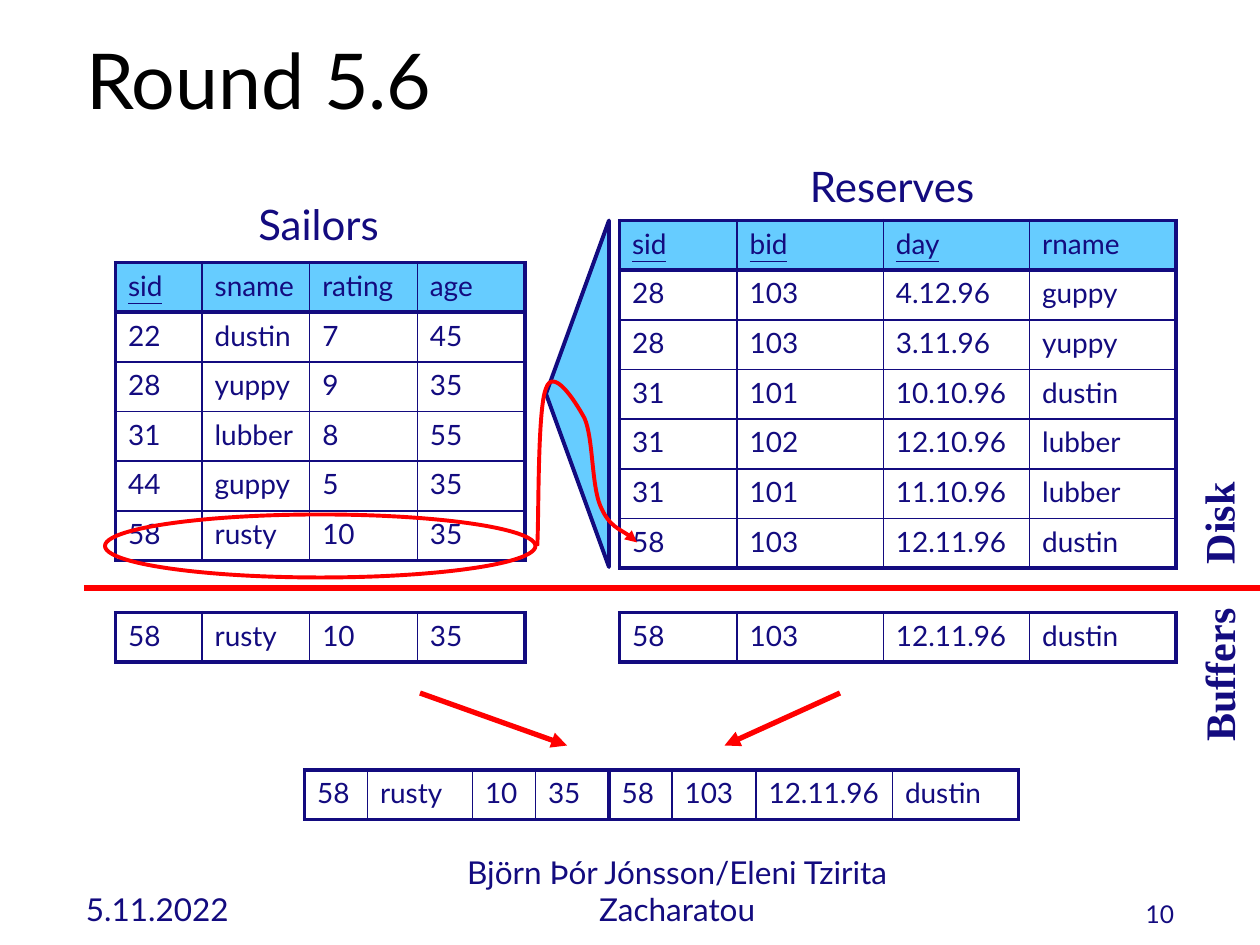
from pptx import Presentation as Deck
from pptx.util import Pt
from pptx.dml.color import RGBColor as Color
from pptx.enum.shapes import MSO_SHAPE as Shape, MSO_CONNECTOR as Link
from pptx.enum.text import PP_ALIGN as Align, MSO_ANCHOR as Anchor
from pptx.oxml.ns import qn
from lxml.etree import SubElement as Sub, Element as Node

HUES = {"navy": "130B7F", "sky": "66CCFF", "red": "FF0000",
        "white": "FFFFFF", "black": "000000"}
SANS, SERIF = "Lato", "Times New Roman"
ROW = 28.4
THICK, THIN = 2.25, 1
SAILORS = [["sid", "sname", "rating", "age"],
           ["22", "dustin", "7", "45"],
           ["28", "yuppy", "9", "35"],
           ["31", "lubber", "8", "55"],
           ["44", "guppy", "5", "35"],
           ["58", "rusty", "10", "35"]]
RESERVES = [["sid", "bid", "day", "rname"],
            ["28", "103", "4.12.96", "guppy"],
            ["28", "103", "3.11.96", "yuppy"],
            ["31", "101", "10.10.96", "dustin"],
            ["31", "102", "12.10.96", "lubber"],
            ["31", "101", "11.10.96", "lubber"],
            ["58", "103", "12.11.96", "dustin"]]
LEFT = [49.5] + [61.5] * 3
RIGHT = [67.2] + [83.6] * 3


def hue(name):
    return Color.from_string(HUES[name])


def write(frame, text, size, font=SANS, tint="navy", bold=None, line=None, align=Align.LEFT):
    par = frame.paragraphs[0]
    par.alignment = align
    run = par.add_run()
    run.text = text
    face = run.font
    face.name, face.size, face.bold, face.underline = font, Pt(size), bold, line
    face.color.rgb = hue(tint)


def label(slide, box, text, size, turn=0, wrap=True, anchor=Anchor.TOP, **look):
    shape = slide.shapes.add_textbox(*map(Pt, box))
    shape.rotation = turn
    frame = shape.text_frame
    frame.word_wrap = wrap
    frame.vertical_anchor = anchor
    write(frame, text, size, **look)


def edge(cell, widths):
    props = cell._tc.get_or_add_tcPr()
    for i, (side, width) in enumerate(zip("LRTB", widths)):
        line = Node(qn("a:ln" + side), w=str(Pt(width)))
        fill = Sub(line, qn("a:solidFill"))
        Sub(fill, qn("a:srgbClr"), val=HUES["navy"])
        props.insert(i, line)


def grid(slide, x, y, rows, cols, fill=None, keys=(), head=False):
    tall, wide = len(rows), len(cols)
    table = slide.shapes.add_table(tall, wide, Pt(x), Pt(y), Pt(sum(cols)), Pt(ROW * tall)).table
    table.first_row = table.horz_banding = False
    for c, width in enumerate(cols):
        table.columns[c].width = Pt(width)
    for r, row in enumerate(rows):
        table.rows[r].height = Pt(ROW)
        top = head and r == 0
        for c, text in enumerate(row):
            cell = table.cell(r, c)
            write(cell.text_frame, text, 16, line=True if top and text in keys else None)
            tint = "sky" if top else fill
            if tint:
                cell.fill.solid()
                cell.fill.fore_color.rgb = hue(tint)
            else:
                cell.fill.background()
            bold = (c == 0, c == wide - 1, r == 0 or head and r == 1, r == tall - 1 or top)
            edge(cell, [THICK if b else THIN for b in bold])


def paint(shape, line, fill=None):
    shape.shadow.inherit = False
    shape.line.color.rgb = hue(line)
    shape.line.width = Pt(THICK)
    if fill:
        shape.fill.solid()
        shape.fill.fore_color.rgb = hue(fill)
    else:
        shape.fill.background()


def tip(line):
    Sub(line._get_or_add_ln(), qn("a:tailEnd"), type="triangle")


def rule(slide, start, end, arrow=False):
    link = slide.shapes.add_connector(Link.STRAIGHT, *map(Pt, start + end))
    link.line.color.rgb = hue("red")
    link.line.width = Pt(3)
    if arrow:
        tip(link.line)
    Sub(link._element.spPr, qn("a:effectLst"))


def curve(slide, x, y, spots):
    first, *rest = [(x + dx, y + dy) for dx, dy in spots]
    maker = slide.shapes.build_freeform(*first, scale=Pt(1))
    maker.add_line_segments(rest, close=False)
    shape = maker.convert_to_shape()
    steps = list(shape._element.iter(qn("a:lnTo")))
    for i in range(0, len(steps), 3):
        bend = Node(qn("a:cubicBezTo"))
        steps[i].addprevious(bend)
        for step in steps[i:i + 3]:
            bend.append(step[0])
            step.getparent().remove(step)
    paint(shape, "red")
    tip(shape.line)


def heading(slide, box):
    title = slide.shapes.title
    title.left, title.top, title.width, title.height = map(Pt, box)
    title.text_frame.vertical_anchor = Anchor.MIDDLE
    write(title.text_frame, "Round 5.6", 44, tint="black")


def disk(slide, x, y):
    grid(slide, x, y + 24, SAILORS, LEFT, "white", ("sid",), True)
    grid(slide, x + 288, y, RESERVES, RIGHT, None, ("sid", "bid", "day"), True)
    ring = slide.shapes.add_shape(Shape.OVAL, *map(Pt, (x - 6, y + 168, 246, 36)))
    paint(ring, "red")
    label(slide, (x - 1, y - 16, 234, 36), "Sailors", 24, align=Align.CENTER)
    label(slide, (x + 282.5, y - 38, 322.5, 36), "Reserves", 24, align=Align.CENTER)
    label(slide, (x + 599.3, y + 154.8, 61.2, 36), "Disk", 24, 270, False, font=SERIF, bold=True)
    fan = slide.shapes.add_shape(Shape.ISOSCELES_TRIANGLE,
                                 *map(Pt, (x + 165, y + 81, 198, 36)))
    fan.rotation = 270
    paint(fan, "navy", "sky")
    curve(slide, x + 241.4, y + 83.5, [
        (0, 102.2), (.7, 87.8), (0, 24.5), (4.3, 12.2),
        (8.6, 0), (20.9, 18), (26.6, 29.5), (31.7, 40.3), (30.2, 67.7),
        (35.3, 79.9), (40.3, 91.4), (52.6, 95.8), (56.9, 100.1)])


def buffers(slide, x, y):
    rule(slide, (x - 18, y - 14), (x + 654, y - 14))
    grid(slide, x, y, SAILORS[-1:], LEFT, "white")
    grid(slide, x + 288, y, RESERVES[-1:], RIGHT)
    label(slide, (x + 584.9, y + 18, 90.7, 36), "Buffers", 24, 270, False,
          font=SERIF, bold=True, align=Align.RIGHT)


def result(slide, x, y):
    grid(slide, x, y, SAILORS[-1:], [36, 60, 36, 42], "white")
    grid(slide, x + 174, y, RESERVES[-1:], [36, 48, 78, 72])
    for start, end in ((66, 150), (306, 240)):
        rule(slide, (x + start, y - 44), (x + end, y - 14), True)


def footer(slide, x, y):
    for dx, width, text, size, align in (
            (0, 150, "5.11.2022", 18, Align.LEFT),
            (204, 282, "Björn Þór Jónsson/Eleni Tzirita Zacharatou", 18, Align.CENTER),
            (486, 150, "10", 14, Align.RIGHT)):
        label(slide, (x + dx, y, width, 36), text, size, anchor=Anchor.BOTTOM, align=align)


deck = Deck()
deck.slide_width, deck.slide_height = Pt(720), Pt(540)
slide = deck.slides.add_slide(deck.slide_layouts[5])
heading(slide, (42, 0, 480, 90))
disk(slide, 66, 126)
buffers(slide, 66, 350)
result(slide, 174, 440)
footer(slide, 42, 498)
deck.save("out.pptx")
